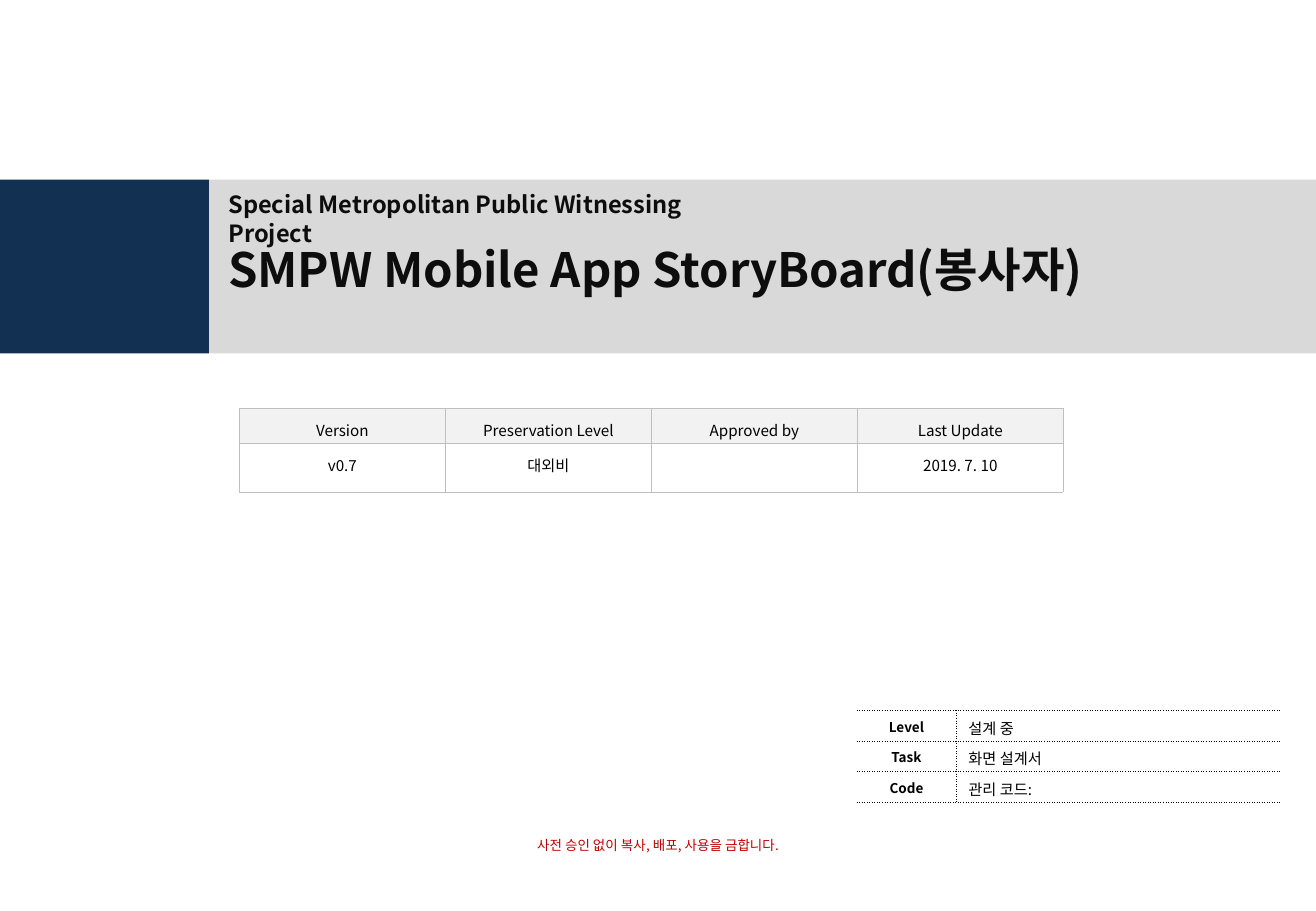
"""Build the cover slide of a mobile app storyboard."""
import pptx
import pptx.dml.color
import pptx.enum.dml
import pptx.enum.shapes
import pptx.enum.text
import pptx.oxml
import pptx.oxml.ns
import pptx.util
from pptx.util import Inches, Pt

RGBColor = pptx.dml.color.RGBColor
ALIGN = pptx.enum.text.PP_ALIGN
ANCHOR = pptx.enum.text.MSO_ANCHOR

NAVY = RGBColor(0x12, 0x30, 0x52)
BAND_GREY = RGBColor(0xD9, 0xD9, 0xD9)
HEADER_GREY = RGBColor(0xF2, 0xF2, 0xF2)
RULE_GREY = RGBColor(0xBF, 0xBF, 0xBF)
TITLE_INK = RGBColor(0x0D, 0x0D, 0x0D)
BLACK = RGBColor(0, 0, 0)
RED = RGBColor(0xC0, 0, 0)
FONT = "Noto Sans CJK KR"

SLIDE_W, SLIDE_H = 10.83, 7.5
BAND_TOP, BAND_H, NAVY_W = 1.48, 1.43, 1.72
TITLE = "SMPW Mobile App StoryBoard(봉사자)"
PROJECT = "Special Metropolitan Public Witnessing Project"
NOTICE = "사전 승인 없이 복사, 배포, 사용을 금합니다."
VERSION_ROWS = [
    ("Version", "Preservation Level", "Approved by", "Last Update"),
    ("v0.7", "대외비", "", "2019. 7. 10"),
]
STATUS_ROWS = [
    ("Level", "설계 중"),
    ("Task", "화면 설계서"),
    ("Code", "관리 코드:"),
]


def format_text(p, text, size, color, bold=False, align=ALIGN.LEFT):
    r = p.add_run()
    r.text = text
    r.font.size = Pt(size)
    r.font.bold = bold
    r.font.name = FONT
    r.font.color.rgb = color
    ea = pptx.oxml.parse_xml(
        f'<a:ea {pptx.oxml.ns.nsdecls("a")} typeface="{FONT}"/>')
    r.font._element.find(pptx.oxml.ns.qn("a:latin")).addnext(ea)
    p.alignment = align


def add_band(slide, left, width, color):
    sp = slide.shapes.add_shape(
        pptx.enum.shapes.MSO_SHAPE.RECTANGLE,
        Inches(left), Inches(BAND_TOP), Inches(width), Inches(BAND_H))
    sp.shadow.inherit = False
    sp.fill.solid()
    sp.fill.fore_color.rgb = color
    sp.line.fill.background()


def add_text(slide, box, text, size, color, bold=False,
             align=ALIGN.LEFT, anchor=ANCHOR.MIDDLE):
    tf = slide.shapes.add_textbox(*map(Inches, box)).text_frame
    tf.word_wrap = True
    tf.vertical_anchor = anchor
    p = tf.paragraphs[0]
    format_text(p, text, size, color, bold, align)
    return p


def add_grid(slide, left, top, widths, heights):
    table = slide.shapes.add_table(
        len(heights), len(widths), Inches(left), Inches(top),
        Inches(sum(widths)), Inches(sum(heights))).table
    table.first_row = table.horz_banding = False
    for column, width in zip(table.columns, widths):
        column.width = Inches(width)
    for row, height in zip(table.rows, heights):
        row.height = Inches(height)
    return table


def set_borders(cell, sides, color, dash):
    tc_pr = cell._tc.get_or_add_tcPr()
    for i, side in enumerate("LRTB"):
        if side in sides:
            paint = (f'<a:solidFill><a:srgbClr val="{color}"/></a:solidFill>'
                     f'<a:prstDash val="{dash}"/>')
        else:
            paint = "<a:noFill/>"
        tc_pr.insert(i, pptx.oxml.parse_xml(
            f'<a:ln{side} {pptx.oxml.ns.nsdecls("a")} w="{Pt(0.25)}">'
            f'{paint}</a:ln{side}>'))


def set_space_before(p, percent):
    p.space_before = Pt(1)
    before = p._p.pPr.find(pptx.oxml.ns.qn("a:spcBef"))
    before.replace(before[0], pptx.oxml.parse_xml(
        f'<a:spcPct {pptx.oxml.ns.nsdecls("a")} val="{percent * 1000}"/>'))


def fill_version_table(slide):
    table = add_grid(slide, 1.97, 3.36, [1.695] * 4, [0.29] * 2)
    for i, row in enumerate(VERSION_ROWS):
        for j, text in enumerate(row):
            cell = table.cell(i, j)
            if i == 0:
                cell.fill.solid()
                cell.fill.fore_color.rgb = HEADER_GREY
            else:
                cell.fill.background()
            set_borders(cell, "LRTB", RULE_GREY, "solid")
            p = cell.text_frame.paragraphs[0]
            format_text(p, text, 9, BLACK, align=ALIGN.CENTER)
            p.line_spacing = 1.2
            set_space_before(p, 20)


def fill_status_table(slide):
    table = add_grid(slide, 7.05, 5.85, [0.82, 2.66], [0.23, 0.24, 0.23])
    styles = [(8, True, ALIGN.CENTER, "RTB"), (9, False, ALIGN.LEFT, "LTB")]
    for i, row in enumerate(STATUS_ROWS):
        for j, (text, style) in enumerate(zip(row, styles)):
            size, bold, align, sides = style
            cell = table.cell(i, j)
            cell.fill.background()
            set_borders(cell, sides, BLACK, "sysDot")
            p = cell.text_frame.paragraphs[0]
            format_text(p, text, size, BLACK, bold, align)
            set_space_before(p, 20)


def main():
    prs = pptx.Presentation()
    prs.slide_width, prs.slide_height = Inches(SLIDE_W), Inches(SLIDE_H)
    slide = prs.slides.add_slide(prs.slide_layouts[6])
    add_band(slide, NAVY_W, SLIDE_W - NAVY_W, BAND_GREY)
    add_band(slide, 0, NAVY_W, NAVY)
    p = add_text(slide, (0, 6.88, SLIDE_W, 0.2), NOTICE, 8, RED,
                 align=ALIGN.CENTER, anchor=ANCHOR.TOP)
    p.line_spacing = Pt(7)
    p.space_before = p.space_after = Pt(3)
    add_text(slide, (1.78, 1.93, 8.27, 0.57), TITLE, 28, TITLE_INK, True)
    fill_version_table(slide)
    add_text(slide, (1.78, 1.63, 4.61, 0.34), PROJECT, 14, TITLE_INK, True)
    fill_status_table(slide)
    prs.save("out.pptx")


if __name__ == "__main__":
    main()
